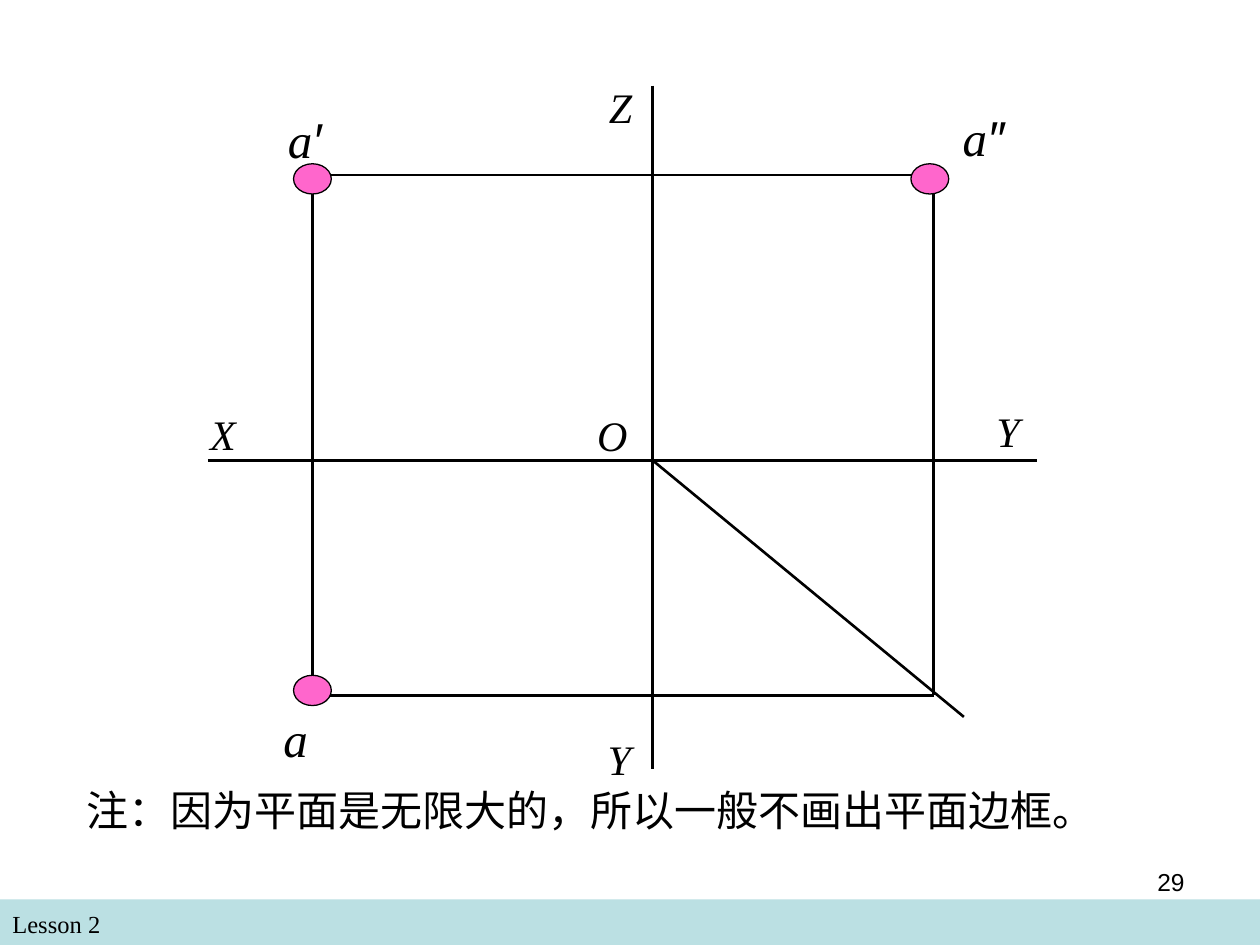
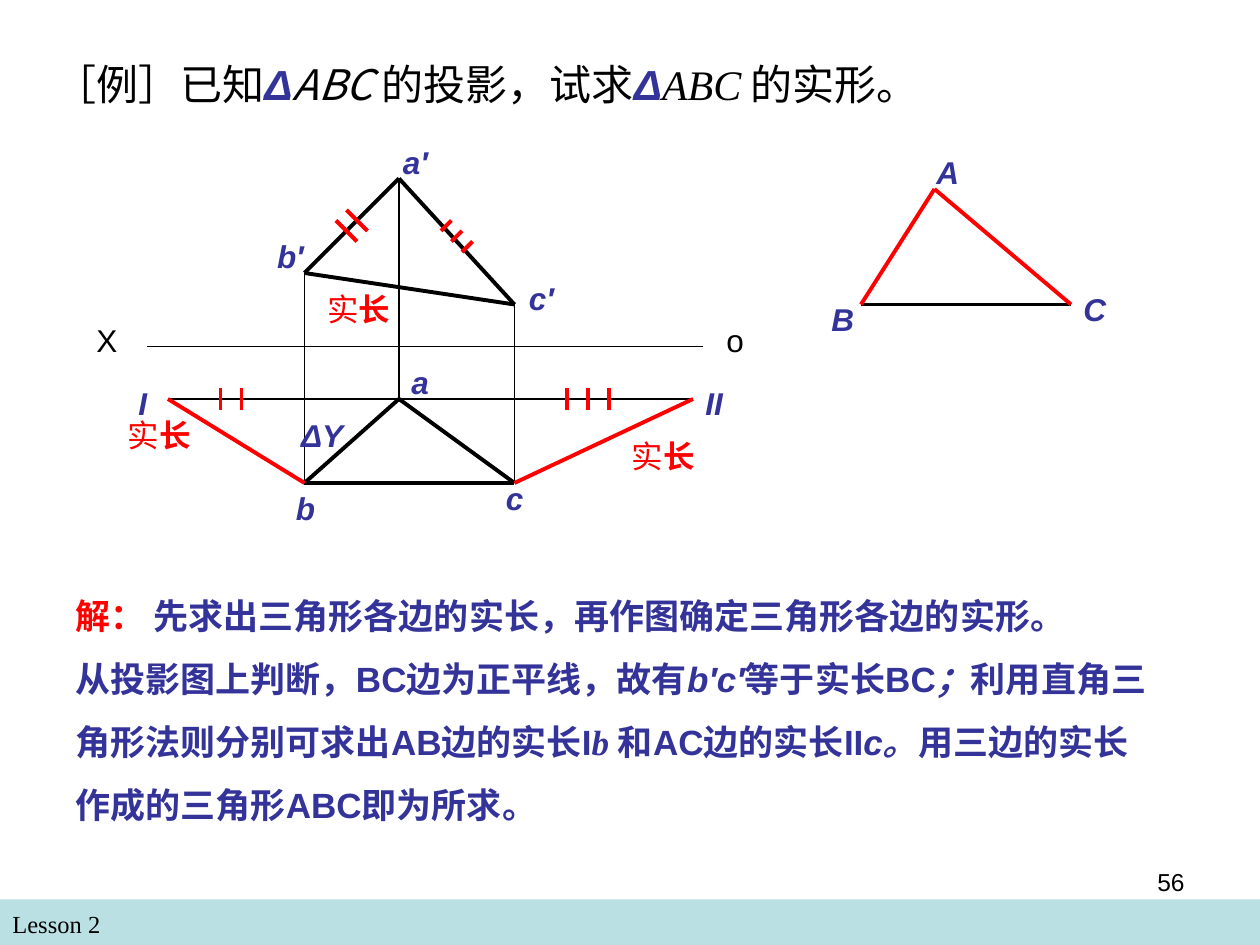
from dataclasses import dataclass
from lxml.etree import SubElement
from pptx import Presentation
from pptx.dml.color import RGBColor
from pptx.enum.shapes import MSO_CONNECTOR, MSO_SHAPE
from pptx.enum.text import MSO_ANCHOR, PP_ALIGN
from pptx.oxml.ns import qn
from pptx.util import Inches, Pt


@dataclass(frozen=True)
class Theme:
    """Colours, fonts, type sizes and line widths."""
    black: str = "000000"
    navy: str = "333399"
    red: str = "FF0000"
    pink: str = "FF66CC"
    band: str = "BBE0E3"
    sans: str = "Arial"
    serif: str = "Times New Roman"
    han: str = "Noto Sans CJK SC"
    foot: int = 14
    label: int = 18
    body: int = 20
    head: int = 24
    point: int = 28
    thin: float = 0.75
    mid: float = 1.5
    thick: float = 2.25


class Deck:
    """Draws elements on a grid of 120 columns by 90 rows."""

    def __init__(self, theme):
        """Open an empty deck."""
        self.theme = theme
        self.show = Presentation()
        self.show.slide_width, self.show.slide_height = Inches(10), Inches(7.5)
        self.col = self.show.slide_width / 120
        self.row = self.show.slide_height / 90

    def place(self, x, y, *rest):
        """Turn columns and rows into slide lengths."""
        units = (self.col, self.row) * 2
        return [round(n * unit) for n, unit in zip((x, y, *rest), units)]

    def page(self, number):
        """Start a slide with its band, footer and number."""
        t = self.theme
        self.slide = self.show.slides.add_slide(self.show.slide_layouts[6])
        self.shape(MSO_SHAPE.RECTANGLE, (0, 85.65, 120, 4.35), t.band)
        self.text((0, 86, 58, 4.08), [["Lesson 2"]], t.foot, t.serif)
        self.text((86, 82, 28, 6.24), [[number]], t.foot, align=PP_ALIGN.RIGHT)

    def shape(self, kind, box, fill, edge=None):
        """Add a filled preset shape."""
        item = self.slide.shapes.add_shape(kind, *self.place(*box))
        item.shadow.inherit = False
        item.fill.solid()
        item.fill.fore_color.rgb = RGBColor.from_string(fill)
        if edge:
            item.line.color.rgb = RGBColor.from_string(edge)
            item.line.width = Pt(self.theme.thin)
        else:
            item.line.fill.background()

    def line(self, start, end, width, color=None):
        """Add a straight line."""
        ends = self.place(*start) + self.place(*end)
        item = self.slide.shapes.add_connector(MSO_CONNECTOR.STRAIGHT, *ends)
        item.line.width = Pt(width)
        item.line.color.rgb = RGBColor.from_string(color or self.theme.black)
        SubElement(item._element.spPr, qn("a:effectLst"))

    def loop(self, points, width):
        """Close a ring of points with lines."""
        for start, end in zip(points, points[1:] + points[:1]):
            self.line(start, end, width)

    def paint(self, font, looks):
        """Apply a set of looks to a font."""
        for key, value in looks.items():
            if key == "color":
                font.color.rgb = RGBColor.from_string(value)
            else:
                setattr(font, key, value)

    def text(self, box, paras, size, name=None, align=PP_ALIGN.LEFT,
             anchor=MSO_ANCHOR.TOP, wrap=True, space=1, **looks):
        """Add text, each run a string or a string with its own looks."""
        t = self.theme
        base = {"size": Pt(size), "name": name or t.sans, "color": t.black, **looks}
        frame = self.slide.shapes.add_textbox(*self.place(*box)).text_frame
        frame.word_wrap, frame.vertical_anchor = wrap, anchor
        for index, runs in enumerate(paras):
            para = frame.add_paragraph() if index else frame.paragraphs[0]
            para.alignment, para.line_spacing = align, space
            self.paint(para.font, base)
            fonts = para._p.pPr.find(qn("a:defRPr"))
            SubElement(fonts, qn("a:ea"), typeface=t.han)
            for part in runs:
                words, own = (part, {}) if isinstance(part, str) else part
                run = para.add_run()
                run.text = words
                self.paint(run.font, own)

    def mark(self, box, runs, size):
        """Add a centred italic label."""
        self.text(box, [runs], size, self.theme.serif, PP_ALIGN.CENTER,
                  MSO_ANCHOR.MIDDLE, italic=True)

    def tag(self, x, y, wide, runs, **looks):
        """Add a short label that does not wrap."""
        self.text((x, y, wide, 4.8), [runs], self.theme.label, wrap=False, **looks)


def planes(deck):
    """Draw the three views of a point."""
    t = deck.theme
    deck.page("29")
    deck.text((7.08, 69.6, 108, 15), [["注：因为平面是无限大的，所以一般不画出平面边框。"]],
              t.head, t.han, anchor=MSO_ANCHOR.MIDDLE)
    left, right, top, base = 29.76, 88.92, 16.68, 66.24
    mid, level = 62.16, 43.85
    for start, end in (
            ((28.68, base), (right, base)), ((left, 17.88), (left, 65.16)),
            ((right, base), (right, top)), ((left, top), (right, top)),
            ((mid, level), (91.8, 68.28)), ((19.8, level), (98.76, level)),
            ((mid, 8.16), (mid, 73.2))):
        deck.line(start, end, t.mid)
    for x, y in ((86.76, 15.6), (27.96, 15.6), (27.96, 64.32)):
        deck.shape(MSO_SHAPE.OVAL, (x, y, 3.6, 2.88), t.pink, t.black)
    for name, x, y, wide in (("Z", 56.28, 7.2, 5.64), ("Y", 52.8, 69.24, 12.36),
                             ("X", 17.52, 38.28, 7.44), ("Y", 89.76, 38.04, 12.48),
                             ("O", 55.68, 38.4, 5.28)):
        deck.mark((x, y, wide, 6), [name], t.head)
    for prime, x, y, wide in (("′", 25.3, 9.84, 7.44), ("″", 88.98, 9.6, 9.36),
                              ("", 25.8, 66.84, 4.68)):
        runs = ["a", (prime, {"name": t.sans})] if prime else ["a"]
        deck.mark((x, y, wide, 6.84), runs, t.point)


def solve(deck):
    """Draw the true shape of a triangle and its solution."""
    t = deck.theme
    deck.page("56")
    delta = ("Δ", {"name": t.sans, "color": t.navy, "bold": True, "italic": True})
    deck.text((4, 5, 106.8, 6), [[
        "［例］已知", delta, ("ABC ", {"italic": True}), "的投影，试求", delta,
        ("ABC", {"name": t.serif, "italic": True}),
        (" ", {"name": t.sans, "size": Pt(t.label)}), "的实形。"]], t.head, t.han)
    slant = {"italic": True}
    deck.text((6, 54, 105.84, 25.2), [
        [("解：", {"color": t.red, "name": t.serif}),
         (" 先求出三角形各边的实长，再作图确定", {"name": t.serif}), "三角形各边的实形。"],
        ["从投影图上判断，BC边为正平线，故有", ("b′c′", slant), "等于实长BC",
         ("；", slant), "利用直角三角形法则分别可求出AB边的实长I",
         ("b ", {"name": t.serif, **slant}), "和AC边的实长II", ("c。", slant),
         "用三边的实长作成的三角形ABC即为所求。"]],
        t.body, space=1.5, color=t.navy, bold=True)

    front = [(38, 17), (29, 26), (49, 29)]
    plan = [(38, 38), (29, 46), (49, 46)]
    one, two = (16, 38), (66, 38)
    peak, west, east = (89, 18), (82, 29), (102, 29)
    deck.line((14, 33), (67, 33), t.thin)
    deck.line(one, two, t.thin)
    for high, low in zip(front, plan):
        deck.line(high, low, t.thin)
    deck.loop(front, t.thick)
    deck.loop(plan, t.thick)
    deck.line(west, east, t.thick)
    ticks = [((x, 37), (x, 39)) for x in (21, 23, 54, 56, 58)]
    ticks += [((32 + n, 21 - n), (34 + n, 23 - n)) for n in range(2)]
    ticks += [((43 + n, 21 + n), (42 + n, 22 + n)) for n in range(3)]
    sides = [(one, plan[1]), (plan[2], two), (west, peak), (peak, east)]
    for start, end in ticks + sides:
        deck.line(start, end, t.thick, t.red)

    for name, x in (("X", 8), ("o", 68)):
        deck.text((x, 30, 9, 4.8), [[name]], t.label)
    for name, x, y, wide in (
            ("a", 38, 34, 4.08), ("b", 27, 46, 4.2), ("c", 47, 45, 4.08),
            ("b′", 25.2, 22, 4.92), ("a′", 37.2, 13, 4.8), ("c′", 49.2, 26, 4.8),
            ("ΔY", 27.5, 39, 7.2), ("I", 12, 36, 3.24), ("II", 66, 36, 4.2),
            ("A", 88, 14, 4.56), ("B", 78, 28, 4.56), ("C", 102, 27, 4.56)):
        deck.tag(x, y, wide, [name], color=t.navy, bold=True, italic=True)
    for x, y in ((11, 39), (59, 41), (30, 27)):
        deck.tag(x, y, 8.6, ["实", ("长", {"bold": True})], color=t.red)


def main():
    """Build and save the deck."""
    deck = Deck(Theme())
    planes(deck)
    solve(deck)
    deck.show.save("out.pptx")


if __name__ == "__main__":
    main()
